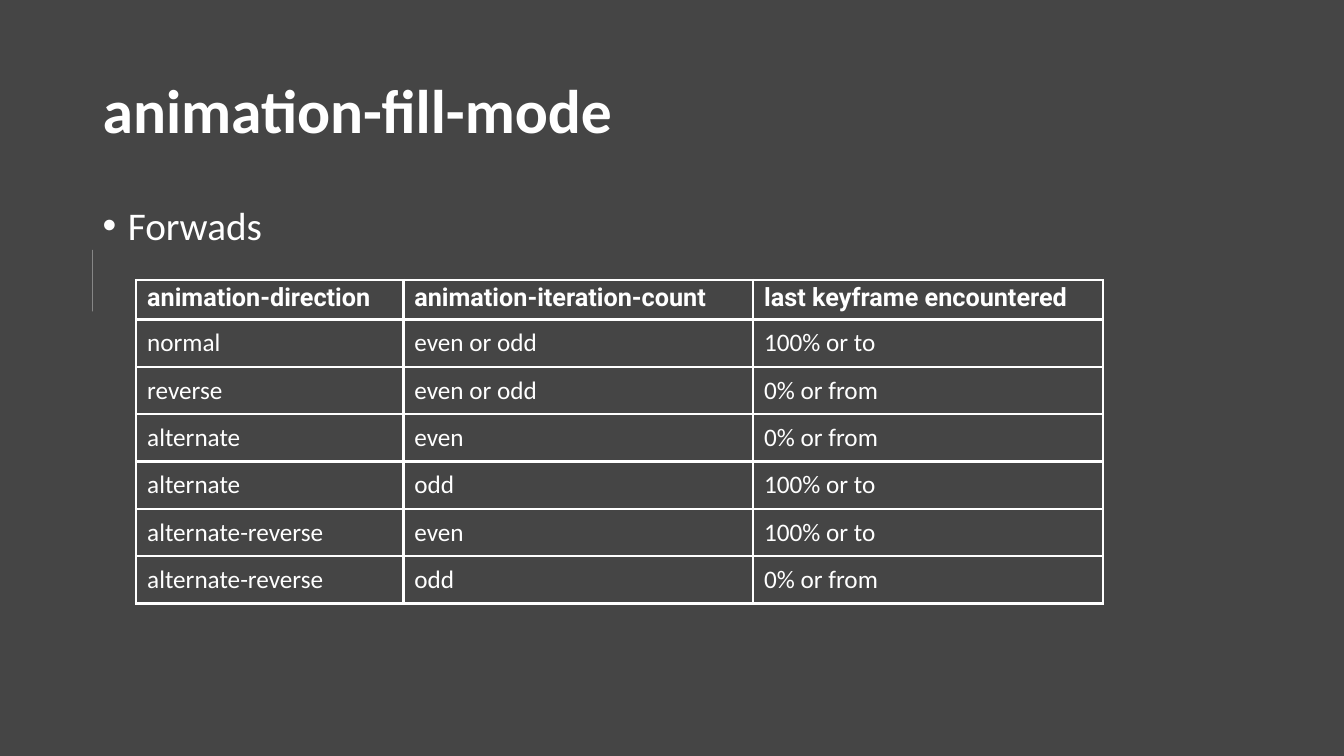
"""Build the slide on animation-fill-mode and its last keyframes."""
from dataclasses import dataclass

from lxml import etree
from pptx import Presentation
from pptx.dml.color import RGBColor
from pptx.enum.shapes import MSO_SHAPE
from pptx.enum.text import MSO_ANCHOR
from pptx.oxml.ns import qn
from pptx.util import Inches, Pt

MIDDLE = MSO_ANCHOR.MIDDLE
RECTANGLE = MSO_SHAPE.RECTANGLE


@dataclass(frozen=True)
class Theme:
    background: RGBColor = RGBColor(0x45, 0x45, 0x45)
    ink: RGBColor = RGBColor(0xFF, 0xFF, 0xFF)
    body_font: str = "Calibri"
    header_font: str = "Roboto"
    title_size: int = 44
    bullet_size: int = 28
    cell_size: int = 18
    border_width: int = 2


THEME = Theme()


def add_run(paragraph, text, size, font=THEME.body_font, bold=False):
    run = paragraph.add_run()
    run.text = text
    run.font.size = Pt(size)
    run.font.name = font
    run.font.bold = bold
    run.font.color.rgb = THEME.ink


def set_borders(cell):
    properties = cell._tc.get_or_add_tcPr()
    for position, side in enumerate(("lnL", "lnR", "lnT", "lnB")):
        line = etree.Element(qn(f"a:{side}"), w=str(Pt(THEME.border_width)))
        fill = etree.SubElement(line, qn("a:solidFill"))
        etree.SubElement(fill, qn("a:srgbClr"), val=str(THEME.ink))
        properties.insert(position, line)


prs = Presentation()
prs.slide_width = Inches(13.33)
prs.slide_height = Inches(7.5)
slide = prs.slides.add_slide(prs.slide_layouts[6])
slide.background.fill.solid()
slide.background.fill.fore_color.rgb = THEME.background

title = slide.shapes.add_textbox(Inches(0.92), Inches(0.4), Inches(11.5), Inches(1.45))
title.text_frame.word_wrap = True
title.text_frame.vertical_anchor = MIDDLE
heading = title.text_frame.paragraphs[0]
heading.line_spacing = 0.9
add_run(heading, "animation-fill-mode", THEME.title_size, bold=True)

body = slide.shapes.add_textbox(Inches(0.92), Inches(2), Inches(11.5), Inches(4.76))
body.text_frame.word_wrap = True
forwards = body.text_frame.paragraphs[0]
forwards.line_spacing = 0.9
forwards.space_before = Pt(10)
bullet_properties = forwards._p.get_or_add_pPr()
bullet_properties.set("marL", str(Inches(0.25)))
bullet_properties.set("indent", str(-Inches(0.25)))
etree.SubElement(bullet_properties, qn("a:buFont"), typeface="Arial")
etree.SubElement(bullet_properties, qn("a:buChar"), char="•")
add_run(forwards, "Forwads", THEME.bullet_size)

KEYFRAMES = [
    ("animation-direction", "animation-iteration-count", "last keyframe encountered"),
    ("normal", "even or odd", "100% or to"),
    ("reverse", "even or odd", "0% or from"),
    ("alternate", "even", "0% or from"),
    ("alternate", "odd", "100% or to"),
    ("alternate-reverse", "even", "100% or to"),
    ("alternate-reverse", "odd", "0% or from"),
]
COLUMN_WIDTHS = (2.65, 3.47, 3.47)
HEADER_HEIGHT, ROW_HEIGHT = 0.38, 0.47

keyframe_table = slide.shapes.add_table(
    len(KEYFRAMES), len(COLUMN_WIDTHS), Inches(1.35), Inches(2.78),
    Inches(sum(COLUMN_WIDTHS)), Inches(HEADER_HEIGHT + ROW_HEIGHT * (len(KEYFRAMES) - 1)),
).table
keyframe_table.horz_banding = False
for column, width in zip(keyframe_table.columns, COLUMN_WIDTHS):
    column.width = Inches(width)

for row_index, entries in enumerate(KEYFRAMES):
    is_header = row_index == 0
    keyframe_table.rows[row_index].height = Inches(HEADER_HEIGHT if is_header else ROW_HEIGHT)
    for column_index, entry in enumerate(entries):
        cell = keyframe_table.cell(row_index, column_index)
        cell.fill.background()
        set_borders(cell)
        cell.vertical_anchor = MIDDLE
        cell.margin_left = cell.margin_right = Inches(0.11)
        cell.margin_top = Inches(0.03 if is_header else 0.08)
        cell.margin_bottom = Inches(0.06 if is_header else 0.08)
        add_run(
            cell.text_frame.paragraphs[0], entry, THEME.cell_size,
            THEME.header_font if is_header else THEME.body_font, is_header,
        )

margin_rule = slide.shapes.add_shape(RECTANGLE, Inches(0.92), Inches(2.48), Inches(0), Inches(0.61))
margin_rule.shadow.inherit = False
margin_rule.fill.solid()
margin_rule.fill.fore_color.rgb = THEME.ink
margin_rule.line.fill.background()

prs.save("out.pptx")
